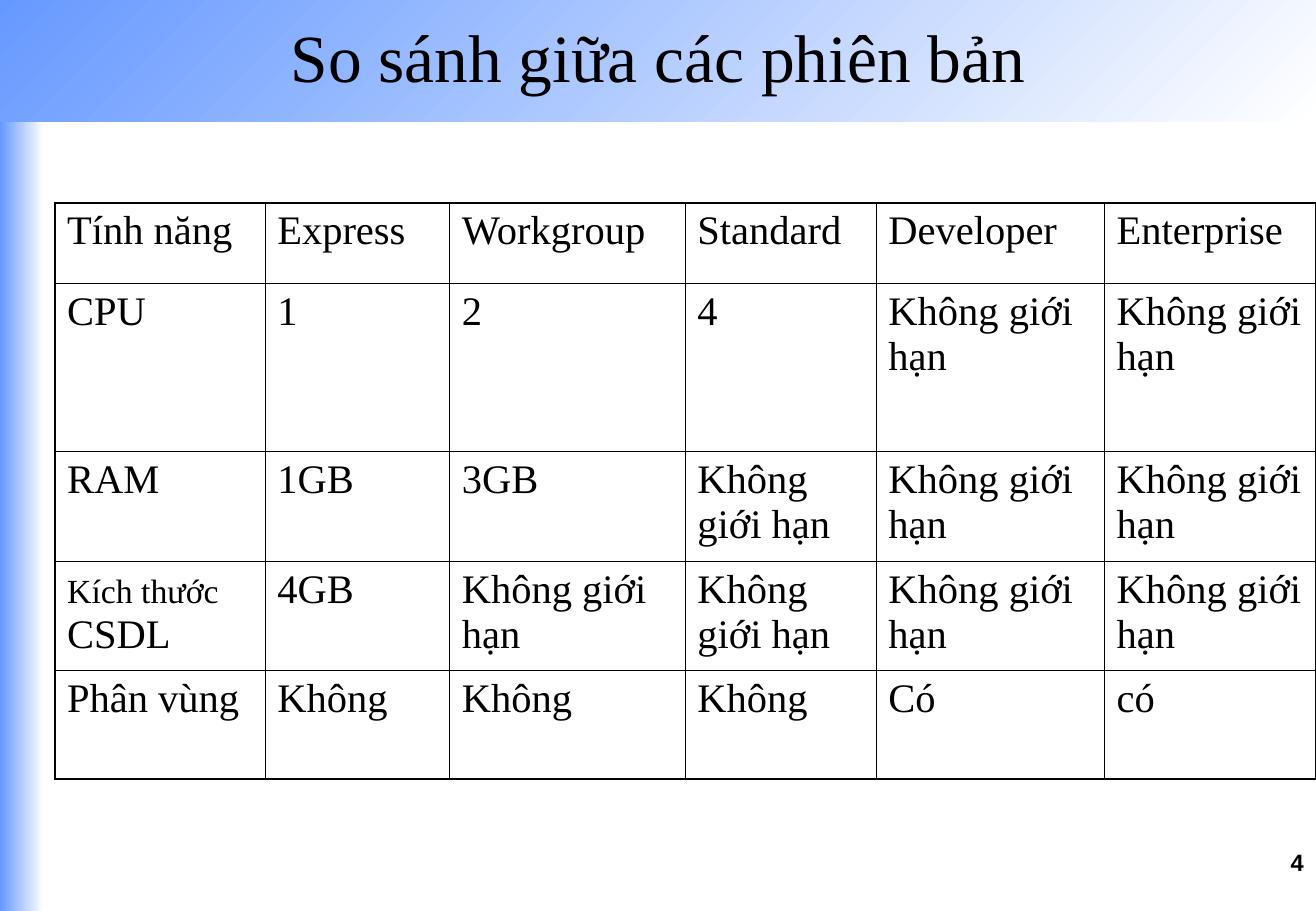
from lxml import etree
from pptx import Presentation
from pptx.dml.color import RGBColor
from pptx.enum import shapes, text
from pptx.oxml import ns
from pptx.util import Pt

# Content
TITLE = "So sánh giữa các phiên bản"
NUMBER = "4"
FREE = "Không giới hạn"
ROWS = [
    ["Tính năng", "Express", "Workgroup", "Standard", "Developer", "Enterprise"],
    ["CPU", "1", "2", "4", FREE, FREE],
    ["RAM", "1GB", "3GB", FREE, FREE, FREE],
    [[("Kích thước", 20), (" CSDL", 24)], "4GB", FREE, FREE, FREE, FREE],
    ["Phân vùng", "Không", "Không", "Không", "Có", "có"],
]

# Layout, in points
WIDTH, HEIGHT = 780.13, 540
WIDTHS = [124.6, 109.4, 139.7, 113.2, 135.3, 125.3]
HEIGHTS = [47.7, 99.8, 65, 64.8, 64.4]
BARS = [(26, HEIGHT, 0), (780, 72, 315)]  # width, height, gradient angle
SERIF, SANS = "Times New Roman", "Arial"
BLACK, BLUE, WHITE = "000000", "6699FF", "FFFFFF"
THIN, THICK = 0.45, 1.08


def paint(color, code):
    color.rgb = RGBColor.from_string(code)


def write(para, words, size, face=SERIF, bold=False):
    run = para.add_run()
    run.text = words
    run.font.size, run.font.name, run.font.bold = Pt(size), face, bold
    paint(run.font.color, BLACK)


def add_bar(slide, width, height, angle):
    bar = slide.shapes.add_shape(
        shapes.MSO_SHAPE.RECTANGLE, 0, 0, Pt(width), Pt(height))
    bar.shadow.inherit = False
    bar.line.fill.background()
    bar.fill.gradient()
    bar.fill.gradient_angle = angle
    for stop, code in zip(bar.fill.gradient_stops, (BLUE, WHITE)):
        paint(stop.color, code)


def add_edges(cell, edges):
    props = cell._tc.get_or_add_tcPr()
    for spot, (side, weight) in enumerate(edges.items()):
        line = etree.Element(ns.qn("a:ln" + side), w=str(Pt(weight)))
        fill = etree.SubElement(line, ns.qn("a:solidFill"))
        etree.SubElement(fill, ns.qn("a:srgbClr"), val=BLACK)
        props.insert(spot, line)


deck = Presentation()
deck.slide_width, deck.slide_height = Pt(WIDTH), Pt(HEIGHT)
slide = deck.slides.add_slide(deck.slide_layouts[5])

# Gradient bars, kept behind the title
for bar in BARS:
    add_bar(slide, *bar)

# Title
title = slide.shapes.title
slide.shapes._spTree.append(title._element)
title.left, title.top, title.width, title.height = 0, 0, Pt(780), Pt(66)
frame = title.text_frame
frame.auto_size = text.MSO_AUTO_SIZE.NONE
frame.vertical_anchor = text.MSO_ANCHOR.MIDDLE
frame.paragraphs[0].alignment = text.PP_ALIGN.CENTER
write(frame.paragraphs[0], TITLE, 40)

# Slide number
box = slide.shapes.add_textbox(Pt(559), Pt(499), Pt(221), Pt(37))
box.text_frame.word_wrap = True
para = box.text_frame.paragraphs[0]
para.alignment = text.PP_ALIGN.RIGHT
write(para, NUMBER, 14, SANS, True)

# Comparison table
table = slide.shapes.add_table(
    len(ROWS), len(WIDTHS), Pt(32.6), Pt(120.2),
    Pt(sum(WIDTHS)), Pt(sum(HEIGHTS))).table
table.first_row = table.horz_banding = False
for col, width in zip(table.columns, WIDTHS):
    col.width = Pt(width)
for row, height in zip(table.rows, HEIGHTS):
    row.height = Pt(height)

last_row, last_col = len(ROWS) - 1, len(WIDTHS) - 1
for r, row in enumerate(ROWS):
    for c, entry in enumerate(row):
        cell = table.cell(r, c)
        cell.fill.background()
        runs = [(entry, 24)] if isinstance(entry, str) else entry
        for words, size in runs:
            write(cell.text_frame.paragraphs[0], words, size)
        outer = {"L": c == 0, "R": c == last_col,
                 "T": r == 0, "B": r == last_row}
        add_edges(cell, {side: THICK if rim else THIN
                         for side, rim in outer.items()})

deck.save("out.pptx")
